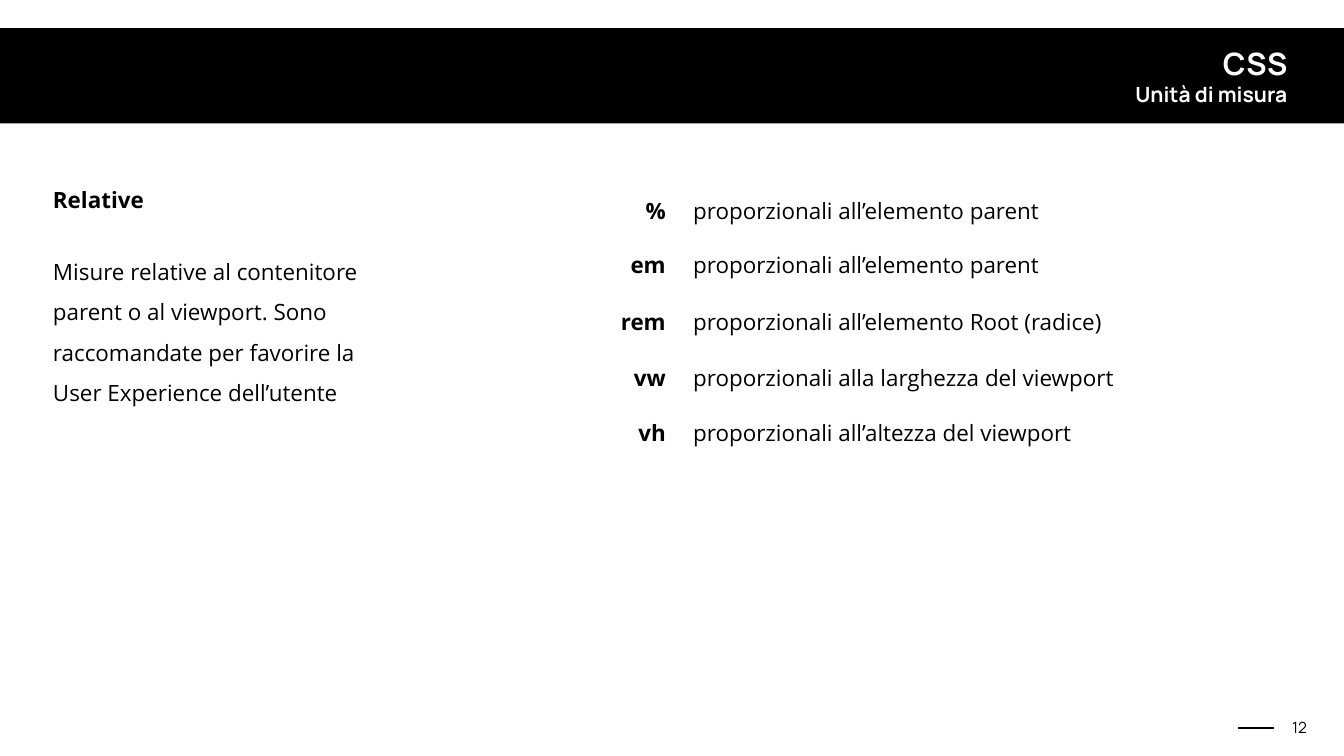
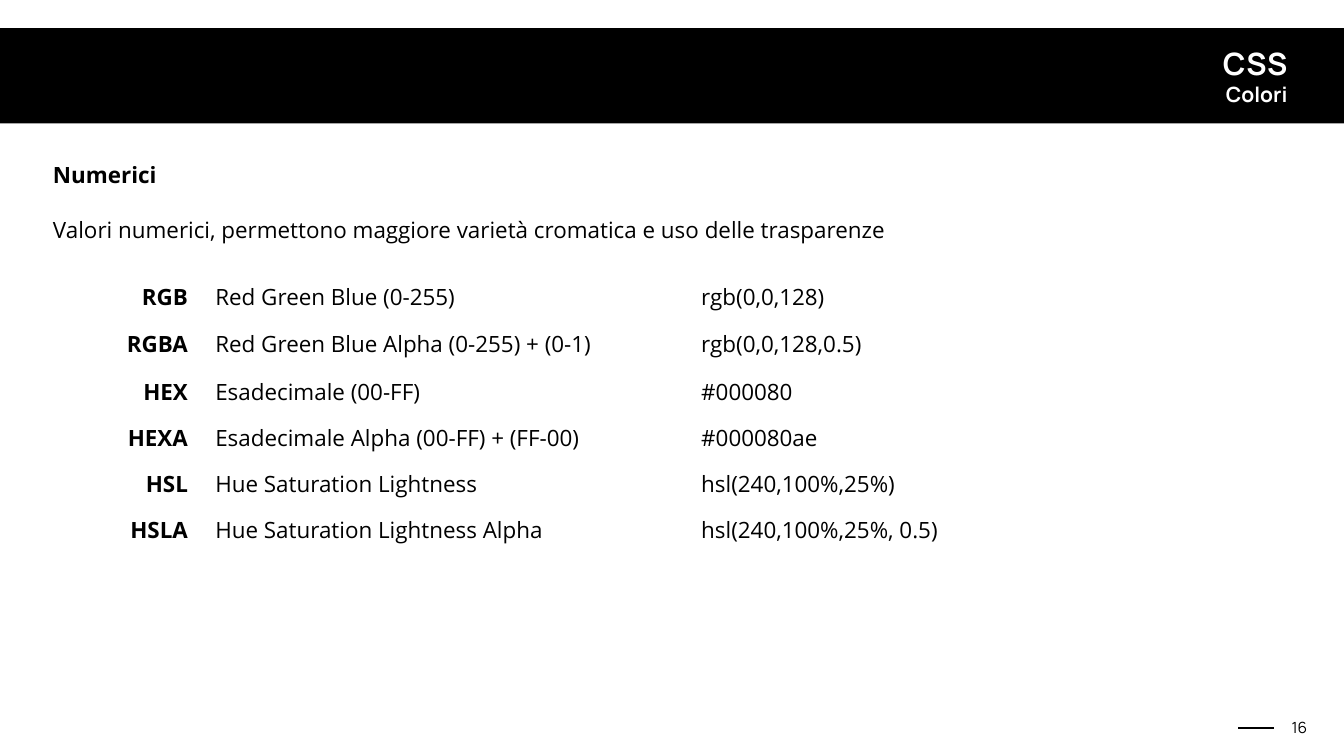
from pptx import Presentation
from pptx.dml.color import RGBColor
from pptx.enum.shapes import MSO_CONNECTOR, MSO_SHAPE
from pptx.enum.text import MSO_ANCHOR, MSO_AUTO_SIZE, PP_ALIGN
from pptx.util import Cm, Pt
from lxml.etree import SubElement
from pptx.oxml.ns import qn

BLACK, WHITE = "000000", "FFFFFF"
TITLE_FONT, BODY_FONT = "Manrope", "Open Sans"
MARGIN = 2.67


def color(value):
    return RGBColor.from_string(value)


class Deck:
    """Shared style and the current slide; lengths are in centimetres."""

    def __init__(self):
        self.prs = Presentation()
        self.prs.slide_width, self.prs.slide_height = Cm(67.73), Cm(38.1)
        self.slide = None

    def new_slide(self, title, subtitle, number):
        self.slide = self.prs.slides.add_slide(self.prs.slide_layouts[6])
        fill = self.slide.background.fill
        fill.solid()
        fill.fore_color.rgb = color(WHITE)
        self.band()
        self.footer(number)
        self.title(title, subtitle)

    def band(self):
        band = self.slide.shapes.add_shape(
            MSO_SHAPE.RECTANGLE, Cm(-0.53), Cm(1.42), Cm(68.78), Cm(4.8))
        band.shadow.inherit = False
        band.fill.solid()
        band.fill.fore_color.rgb = color(BLACK)
        band.line.fill.background()

    def footer(self, number):
        dash = self.slide.shapes.add_connector(
            MSO_CONNECTOR.STRAIGHT, Cm(64.19), Cm(36.68), Cm(62.38), Cm(36.68))
        dash.line.color.rgb = color(BLACK)
        dash.line.width = Pt(2)
        SubElement(dash._element.spPr, qn("a:effectLst"))
        frame = self.frame(64.24, 36.07, 2.49, 1.22, inset=0.69)
        frame.paragraphs[0].alignment = PP_ALIGN.CENTER
        self.run(frame.paragraphs[0], str(number), 22, font=TITLE_FONT)

    def title(self, title, subtitle):
        frame = self.frame(2.57, 2.08, 62.46, 3.45, inset=0.15)
        frame.auto_size = MSO_AUTO_SIZE.SHAPE_TO_FIT_TEXT
        lines = [(frame.paragraphs[0], title, 44),
                 (frame.add_paragraph(), subtitle, 30)]
        for paragraph, text, size in lines:
            paragraph.alignment = PP_ALIGN.RIGHT
            self.run(paragraph, text, size, True, TITLE_FONT, WHITE)

    def frame(self, left, top, width, height, inset=0.0, anchor=MSO_ANCHOR.MIDDLE):
        box = self.slide.shapes.add_textbox(Cm(left), Cm(top), Cm(width), Cm(height))
        frame = box.text_frame
        frame.word_wrap = True
        frame.vertical_anchor = anchor
        frame.margin_left = frame.margin_right = Cm(inset)
        frame.margin_top = frame.margin_bottom = Cm(inset)
        return frame

    def run(self, paragraph, text, size=32, bold=False, font=BODY_FONT, ink=BLACK):
        run = paragraph.add_run()
        run.text = text
        run.font.size, run.font.bold, run.font.name = Pt(size), bold, font
        run.font.color.rgb = color(ink)

    def heading(self, text, top):
        frame = self.frame(MARGIN, top, 19.5, 1.6)
        self.run(frame.paragraphs[0], text, bold=True)

    def body(self, text, top, width, height):
        frame = self.frame(MARGIN, top, width, height, anchor=MSO_ANCHOR.TOP)
        frame.paragraphs[0].line_spacing = 1.5
        self.run(frame.paragraphs[0], text)

    def table(self, rows, left, top, widths, heights):
        """Borderless table with bold, right-aligned terms in the first column."""
        table = self.slide.shapes.add_table(
            len(rows), len(widths), Cm(left), Cm(top),
            Cm(sum(widths)), Cm(sum(heights))).table
        table.first_row = table.horz_banding = False
        for column, width in zip(table.columns, widths):
            column.width = Cm(width)
        for row, height, texts in zip(table.rows, heights, rows):
            row.height = Cm(height)
            for index, (cell, text) in enumerate(zip(row.cells, texts)):
                is_term = index == 0
                cell.fill.background()
                cell.vertical_anchor = MSO_ANCHOR.MIDDLE
                cell.margin_left = cell.margin_right = Cm(0.69)
                cell.margin_top = cell.margin_bottom = Cm(0.33)
                paragraph = cell.text_frame.paragraphs[0]
                paragraph.alignment = PP_ALIGN.RIGHT if is_term else PP_ALIGN.LEFT
                self.run(paragraph, text, bold=is_term)


def main():
    deck = Deck()

    # Relative units
    deck.new_slide("CSS", "Unità di misura", 12)
    deck.heading("Relative", 9.25)
    deck.body("Misure relative al contenitore parent o al viewport. Sono "
              "raccomandate per favorire la User Experience dell’utente",
              12.34, 16.9, 6.27)
    units = [
        ("%", "proporzionali all’elemento parent"),
        ("em", "proporzionali all’elemento parent"),
        ("rem", "proporzionali all’elemento Root (radice)"),
        ("vw", "proporzionali alla larghezza del viewport"),
        ("vh", "proporzionali all’altezza del viewport"),
    ]
    deck.table(units, 24.84, 9.25, [9.4, 30.78], [2.74, 2.74, 2.95, 2.74, 2.74])

    # Numeric colours
    deck.new_slide("CSS", "Colori", 16)
    deck.heading("Numerici", 8)
    deck.body("Valori numerici, permettono maggiore varietà cromatica "
              "e uso delle trasparenze", 10.21, 58.42, 4.7)
    color_formats = [
        ("RGB", "Red Green Blue (0-255)", "rgb(0,0,128)"),
        ("RGBA", "Red Green Blue Alpha (0-255) + (0-1)", "rgb(0,0,128,0.5)"),
        ("HEX", "Esadecimale (00-FF)", "#000080"),
        ("HEXA", "Esadecimale Alpha (00-FF) + (FF-00)", "#000080ae"),
        ("HSL", "Hue Saturation Lightness", "hsl(240,100%,25%)"),
        ("HSLA", "Hue Saturation Lightness Alpha", "hsl(240,100%,25%, 0.5)"),
    ]
    deck.table(color_formats, MARGIN, 13.82, [7.49, 24.49, 24.49],
               [2.31, 2.44, 2.31, 2.34, 2.31, 2.31])

    deck.prs.save("out.pptx")


if __name__ == "__main__":
    main()
